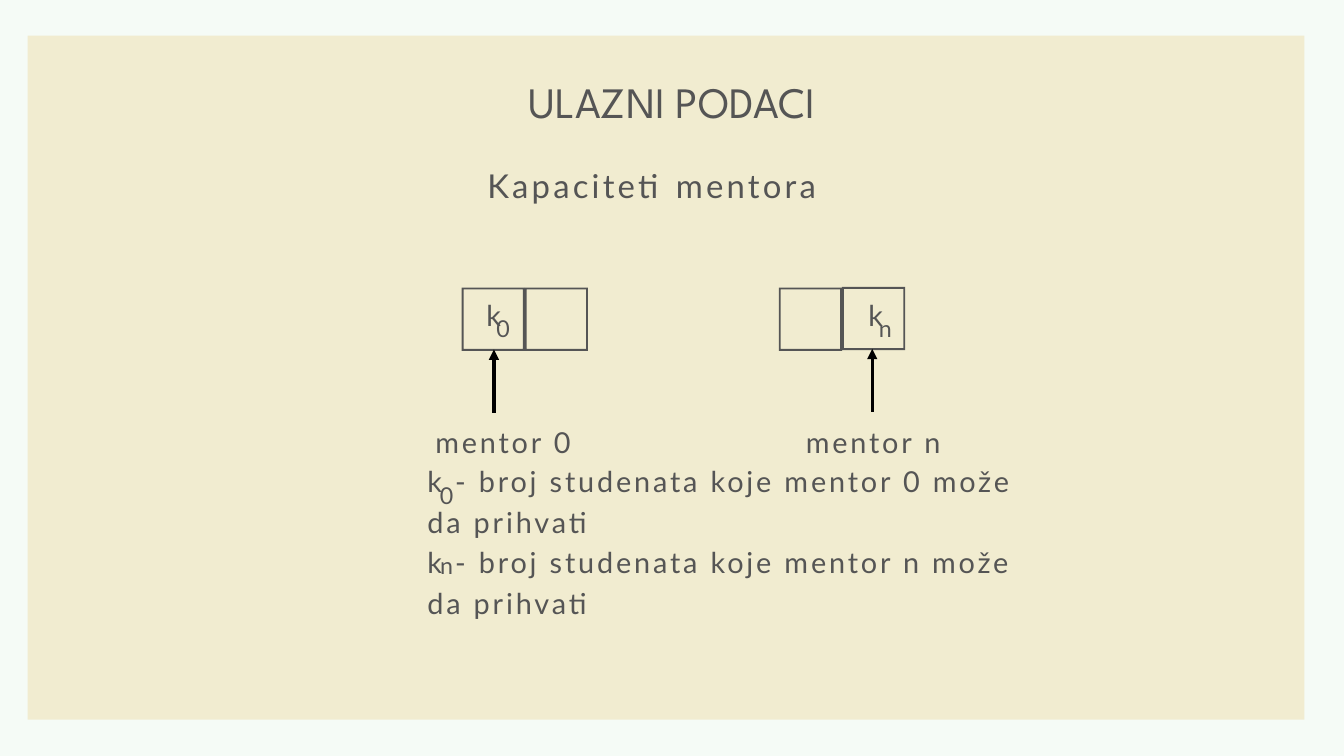
from pptx import Presentation
from pptx.dml.color import RGBColor
from pptx.enum.shapes import MSO_CONNECTOR, MSO_SHAPE
from pptx.enum.text import MSO_ANCHOR, MSO_AUTO_SIZE, PP_ALIGN
from pptx.oxml.ns import qn
from pptx.util import Inches, Pt
from lxml import etree

RECT, FRAME = MSO_SHAPE.RECTANGLE, MSO_SHAPE.FRAME
STRAIGHT = MSO_CONNECTOR.STRAIGHT
LEFT, CENTER = PP_ALIGN.LEFT, PP_ALIGN.CENTER
TOP, NO_FIT = MSO_ANCHOR.TOP, MSO_AUTO_SIZE.NONE

COLORS = {name: RGBColor.from_string(value) for name, value in {
    "back": "F5FBF6", "panel": "F1ECD0", "text": "555555", "arrow": "000000",
}.items()}


def write(sp, lines, size, leading, spacing=0, align=CENTER, font="Lato"):
    tf = sp.text_frame
    tf.word_wrap = True
    tf.auto_size = NO_FIT
    tf.vertical_anchor = TOP
    tf.margin_left = tf.margin_right = tf.margin_top = tf.margin_bottom = 0
    for i, line in enumerate(lines):
        p = tf.paragraphs[0] if i == 0 else tf.add_paragraph()
        p.alignment = align
        p.line_spacing = Pt(leading)
        p.space_before = Pt(0)
        p.font.name = font
        p.font.size = Pt(size)
        p.font.color.rgb = COLORS["text"]
        r = p.add_run()
        r.text = line
        if spacing:
            r.font._element.set("spc", str(round(spacing * 100)))


def add_shape(kind, x, y, w, h, color):
    sp = s.shapes.add_shape(kind, Inches(x), Inches(y), Inches(w), Inches(h))
    sp.shadow.inherit = False
    sp.fill.solid()
    sp.fill.fore_color.rgb = COLORS[color]
    sp.line.fill.background()
    return sp


prs = Presentation()
prs.slide_width, prs.slide_height = Inches(20), Inches(11.25)
s = prs.slides.add_slide(prs.slide_layouts[5])
s.background.fill.solid()
s.background.fill.fore_color.rgb = COLORS["back"]

# Panel, placed behind the title
panel = add_shape(RECT, 0.41, 0.53, 19, 10.18, "panel")
title = s.shapes.title
title._element.addprevious(panel._element)

# Title
title.left, title.top = Inches(3.51), Inches(1.12)
title.width, title.height = Inches(12.98), Inches(0.77)
write(title, ["ULAZNI PODACI"], 46.5, 55.7, font="League Spartan")

# Array cells
for x, y in ((6.87, 4.28), (7.81, 4.28), (11.59, 4.28), (12.53, 4.27)):
    cell = add_shape(FRAME, x, y, 0.94, 0.94, "text")
    cell.adjustments[0] = 0.03

# Arrows pointing up at the first and last cell
for x, y in ((7.35, 5.2), (12.98, 5.19)):
    arrow = s.shapes.add_connector(
        STRAIGHT, Inches(x), Inches(y + 0.94), Inches(x), Inches(y))
    arrow.line.color.rgb = COLORS["arrow"]
    arrow.line.width = Pt(3.75)
    etree.SubElement(arrow.line._get_or_add_ln(), qn("a:tailEnd"), type="triangle")
    etree.SubElement(arrow._element.spPr, qn("a:effectLst"))

# Text styles: size, leading, letter spacing, alignment
HEADING = (35.2, 49.3, 3.5, CENTER)
LABEL = (30.9, 43.3, 3.1, CENTER)
NOTE = (30.9, 43.3, 3.1, LEFT)
INDEX = (24.9, 34.9, 2.5, CENTER)

# Subtitle, cell labels, captions and explanations
for x, y, w, h, style, lines in (
    (3.21, 2.36, 12.98, 2.06, HEADING, ["Kapaciteti mentora"]),
    (1.65, 4.35, 11.39, 1.81, LABEL, ["k"]),
    (7.37, 4.35, 11.32, 1.81, LABEL, ["k"]),
    (1.79, 4.61, 11.39, 0.48, INDEX, ["0"]),
    (7.48, 4.61, 11.39, 1.07, INDEX, ["n"]),
    (1.79, 6.24, 11.39, 1.81, LABEL, ["mentor 0"]),
    (7.3, 6.24, 11.39, 1.81, LABEL, ["mentor n"]),
    (6.36, 6.82, 11.39, 1.81, NOTE,
     ["k - broj studenata koje mentor 0 može", "da prihvati"]),
    (6.36, 8.02, 11.39, 2.41, NOTE,
     ["k - broj studenata koje mentor n može", "da prihvati"]),
    (0.95, 7.09, 11.39, 0.48, INDEX, ["0"]),
    (0.95, 8.14, 11.39, 1.07, INDEX, ["n"]),
):
    box = s.shapes.add_textbox(Inches(x), Inches(y), Inches(w), Inches(h))
    write(box, lines, *style)

prs.save("out.pptx")
